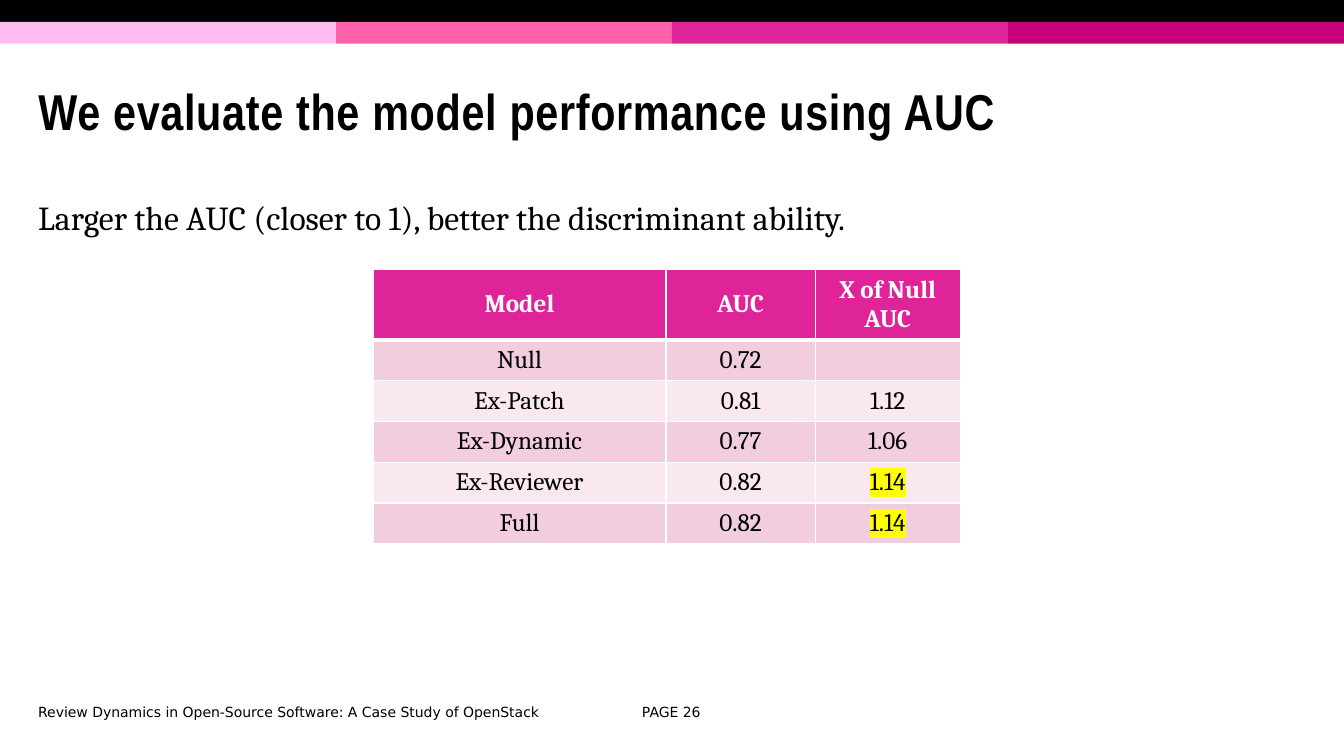
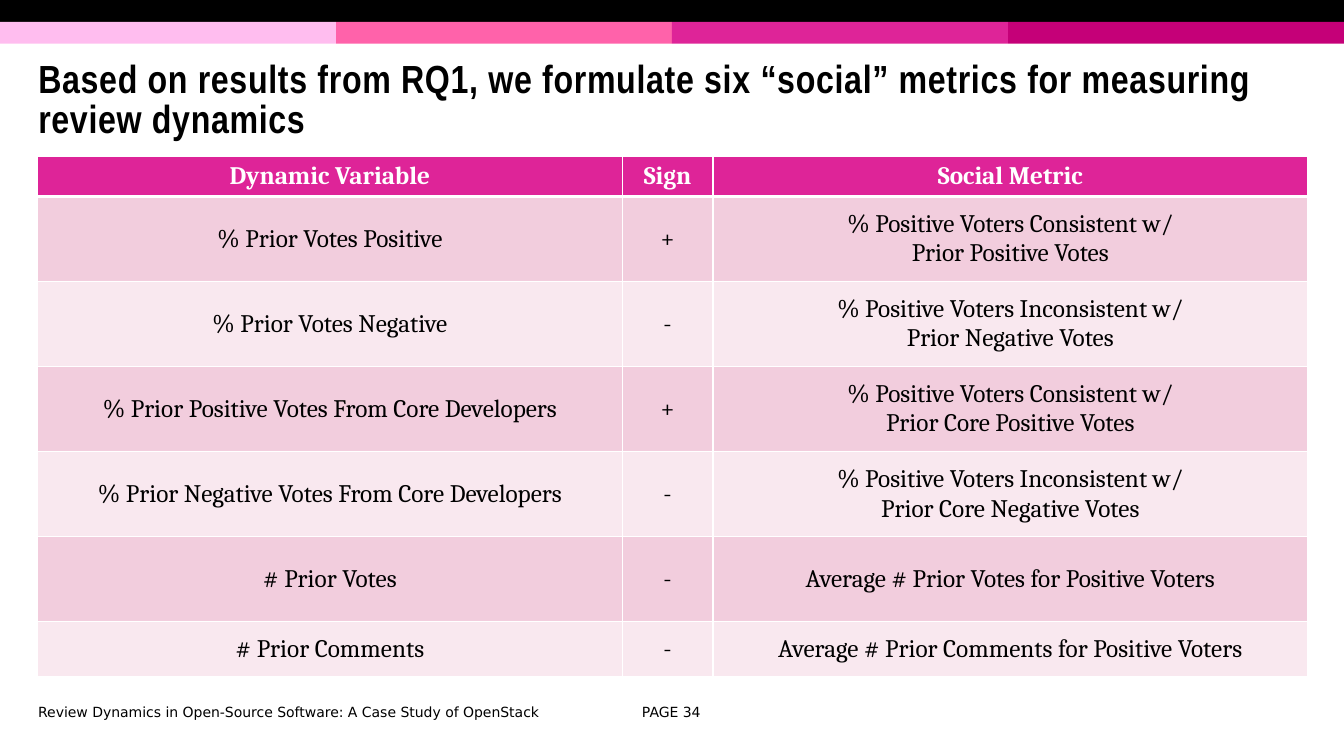
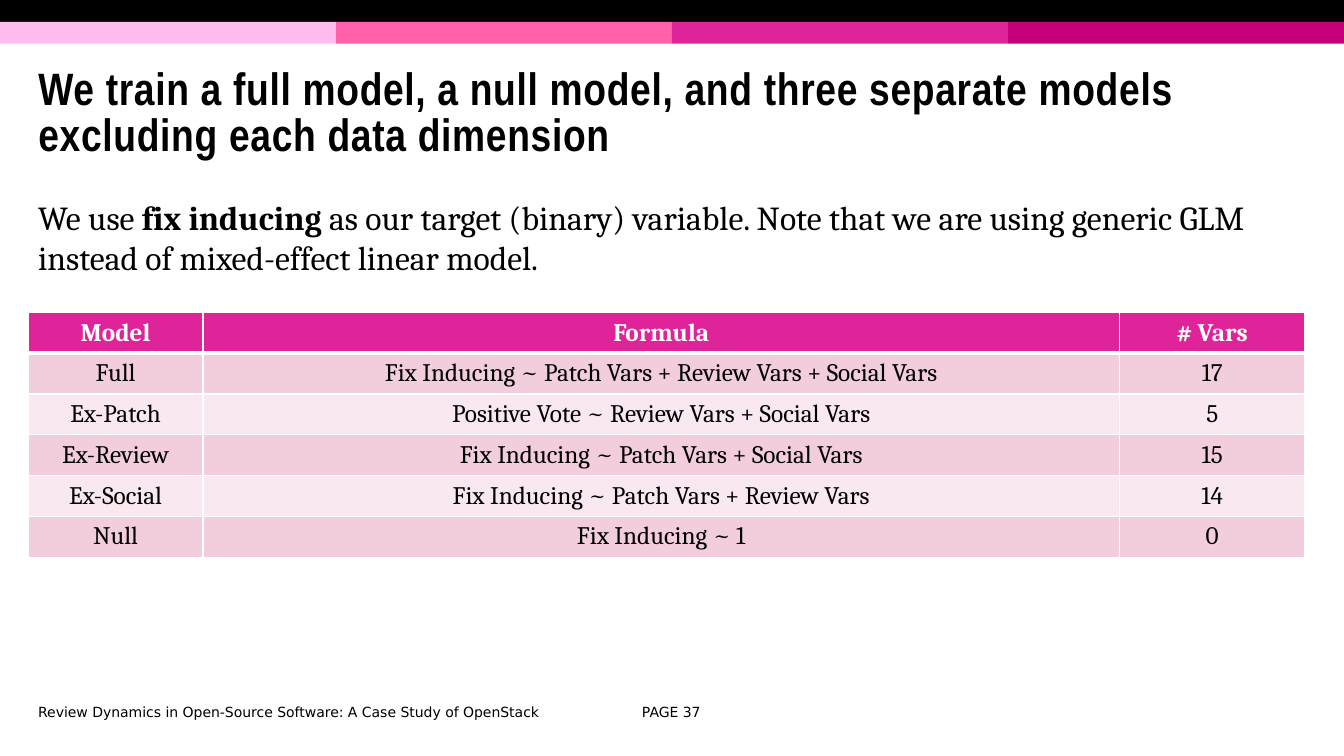
from lxml import etree
from pptx import Presentation, util as u
from pptx.dml.color import RGBColor
from pptx.enum import shapes, text
from pptx.oxml import ns

COLOURS = {"ink": "000000", "paper": "FFFFFF", "blush": "FFBDEF", "rose": "FF62AA",
           "pink": "DE2498", "magenta": "C50078", "odd": "F2CDDD", "even": "F9E8EF",
           "marker": "FFFF00"}
TITLE = {"name": "Arial Narrow", "bold": True}
BODY = {"name": "Cambria", "size": u.Pt(24)}
CELL = {"name": "Cambria", "size": u.Pt(18)}
FOOTER = {"name": "DejaVu Sans", "size": u.Pt(10)}
LEFT, CENTRE = text.PP_ALIGN.LEFT, text.PP_ALIGN.CENTER
FOOTER_TEXT = "Review Dynamics in Open-Source Software: A Case Study of OpenStack"

deck = Presentation()
deck.slide_width, deck.slide_height = u.Inches(13.33), u.Inches(7.5)


def area(left, top, width, height):
    """Turn percentages of the slide's size into lengths."""
    across, down = deck.slide_width / 100, deck.slide_height / 100
    return [u.Emu(round(length)) for length in
            (left * across, top * down, width * across, height * down)]


def write(para, words, style, align=LEFT, colour="ink"):
    """Add one run to a paragraph and format it."""
    para.alignment = align
    span = para.add_run()
    span.text = words
    for name, value in style.items():
        setattr(span.font, name, value)
    span.font.color.rgb = RGBColor.from_string(COLOURS[colour])
    return span


# Content: tables and areas are measured in percent of the slide
PAGES = [
    {"number": 26, "title": "We evaluate the model performance using AUC",
     "size": 36, "title_area": (2.1, 8.67, 94.9, 13.07),
     "body": [("Larger the AUC (closer to 1), better the discriminant ability.", False)],
     "corner": (27.75, 35.6), "columns": [21.8, 11.1, 10.8], "rows": [8.93] + [5.4] * 5,
     "marked": ["1.14"],
     "cells": [["Model", "AUC", "X of Null AUC"],
               ["Null", "0.72", ""],
               ["Ex-Patch", "0.81", "1.12"],
               ["Ex-Dynamic", "0.77", "1.06"],
               ["Ex-Reviewer", "0.82", "1.14"],
               ["Full", "0.82", "1.14"]]},
    {"number": 34, "title": "Based on results from RQ1, we formulate six “social” metrics "
                            "for measuring review dynamics",
     "size": 28, "title_area": (2.1, 6.27, 94.9, 14.27),
     "body": [],
     "corner": (2.8, 20.67), "columns": [43.5, 6.75, 44.25],
     "rows": [5.33] + [11.25] * 5 + [7.2], "marked": [],
     "cells": [["Dynamic Variable", "Sign", "Social Metric"],
               ["% Prior Votes Positive", "+",
                "% Positive Voters Consistent w/\nPrior Positive Votes"],
               ["% Prior Votes Negative", "-",
                "% Positive Voters Inconsistent w/\nPrior Negative Votes"],
               ["% Prior Positive Votes From Core Developers", "+",
                "% Positive Voters Consistent w/\nPrior Core Positive Votes"],
               ["% Prior Negative Votes From Core Developers", "-",
                "% Positive Voters Inconsistent w/\nPrior Core Negative Votes"],
               ["# Prior Votes", "-", "Average # Prior Votes for Positive Voters"],
               ["# Prior Comments", "-", "Average # Prior Comments for Positive Voters"]]},
    {"number": 37, "title": "We train a full model, a null model, and three separate models "
                            "excluding each data dimension",
     "size": 32.4, "title_area": (2.1, 8.67, 94.9, 13.07),
     "body": [("We use ", False), ("fix inducing ", True),
              ("as our target (binary) variable. Note that we are using generic GLM "
               "instead of mixed-effect linear model.", False)],
     "corner": (2.1, 41.33), "columns": [13, 68.2, 13.8], "rows": [5.4] * 6, "marked": [],
     "cells": [["Model", "Formula", "# Vars"],
               ["Full", "Fix Inducing ~ Patch Vars + Review Vars + Social Vars", "17"],
               ["Ex-Patch", "Positive Vote ~ Review Vars + Social Vars", "5"],
               ["Ex-Review", "Fix Inducing ~ Patch Vars + Social Vars", "15"],
               ["Ex-Social", "Fix Inducing ~ Patch Vars + Review Vars", "14"],
               ["Null", "Fix Inducing ~ 1", "0"]]},
]

# Bands: one black strip above four equal quarters
BANDS = [("ink", (0, 0, 100, 2.9))]
for quarter, colour in enumerate(["blush", "rose", "pink", "magenta"]):
    BANDS.append((colour, (quarter * 25, 2.9, 25, 2.9)))

for content in PAGES:
    page = deck.slides.add_slide(deck.slide_layouts[5])

    for colour, place in BANDS:
        band = page.shapes.add_shape(shapes.MSO_SHAPE.RECTANGLE, *area(*place))
        band.shadow.inherit = False
        band.fill.solid()
        band.fill.fore_color.rgb = RGBColor.from_string(COLOURS[colour])
        band.line.fill.background()

    # Title
    title = page.shapes.title
    title.left, title.top, title.width, title.height = area(*content["title_area"])
    frame = title.text_frame
    frame.auto_size = text.MSO_AUTO_SIZE.NONE
    frame.vertical_anchor = text.MSO_ANCHOR.MIDDLE
    frame.paragraphs[0].line_spacing = 0.85
    span = write(frame.paragraphs[0], content["title"], {**TITLE, "size": u.Pt(content["size"])})
    span.font._element.set("spc", "50")

    # Body text and footers
    boxes = [((2.1, 92.4, 42.9, 3.6), [(FOOTER_TEXT, False)], FOOTER, LEFT),
             ((45.8, 92.4, 8.3, 3.6), [(f"PAGE {content['number']}", False)], FOOTER, CENTRE)]
    if content["body"]:
        boxes.append(((2.1, 25.33, 94.9, 6.67), content["body"], BODY, LEFT))
    for place, spans, style, align in boxes:
        frame = page.shapes.add_textbox(*area(*place)).text_frame
        frame.word_wrap = True
        frame.vertical_anchor = (text.MSO_ANCHOR.MIDDLE if style is FOOTER
                                 else text.MSO_ANCHOR.TOP)
        for words, bold in spans:
            write(frame.paragraphs[0], words, {**style, "bold": bold}, align)

    # Table
    cells, columns, rows = content["cells"], content["columns"], content["rows"]
    place = area(*content["corner"], sum(columns), sum(rows))
    table = page.shapes.add_table(len(rows), len(columns), *place).table
    table.horz_banding = False
    for column, share in zip(table.columns, columns):
        column.width = area(0, 0, share, 0)[2]
    for row, share in zip(table.rows, rows):
        row.height = area(0, 0, 0, share)[3]
    for r, line in enumerate(cells):
        for c, words in enumerate(line):
            cell = table.cell(r, c)
            cell.vertical_anchor = text.MSO_ANCHOR.MIDDLE

            # White rules, thicker under the header
            thick = {0: "lnB", 1: "lnT"}.get(r)
            for side in ("lnL", "lnR", "lnT", "lnB"):
                rule = etree.SubElement(cell._tc.get_or_add_tcPr(), ns.qn(f"a:{side}"),
                                        w=str(u.Pt(3 if side == thick else 1)))
                paint = etree.SubElement(rule, ns.qn("a:solidFill"))
                etree.SubElement(paint, ns.qn("a:srgbClr"), val=COLOURS["paper"])
            cell.fill.solid()
            fill = "pink" if r == 0 else ("even", "odd")[r % 2]
            cell.fill.fore_color.rgb = RGBColor.from_string(COLOURS[fill])

            for n, part in enumerate(words.split("\n") if words else []):
                frame = cell.text_frame
                para = frame.add_paragraph() if n else frame.paragraphs[0]
                span = write(para, part, {**CELL, "bold": r == 0}, CENTRE,
                             "ink" if r else "paper")
                if part in content["marked"]:
                    marker = etree.Element(ns.qn("a:highlight"))
                    etree.SubElement(marker, ns.qn("a:srgbClr"), val=COLOURS["marker"])
                    span.font._element.find(ns.qn("a:solidFill")).addnext(marker)

deck.save("out.pptx")
